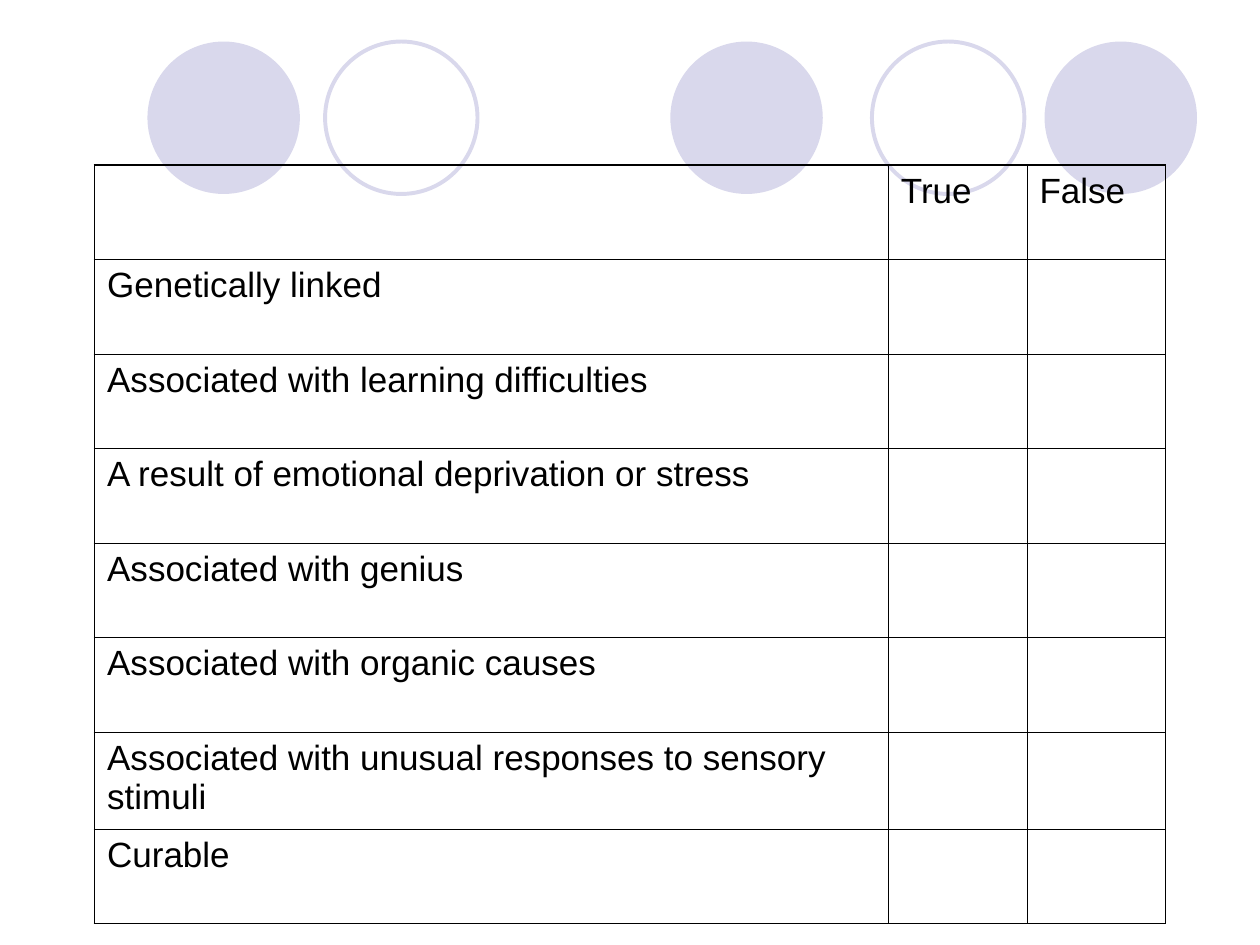
from pptx import Presentation
from pptx.dml.color import RGBColor
from pptx.enum.shapes import MSO_SHAPE as Preset
from pptx.oxml.ns import qn
from pptx.util import Inches, Pt
from lxml.etree import SubElement

COLORS = {"lavender": "D9D8EC", "black": "000000"}
FONT = "Arial"
CIRCLE_SIZE = 1.21
CIRCLE_TOP = 0.33
FILLED_CIRCLES = [5.32, 8.29, 1.17]
OUTLINED_CIRCLES = [6.92, 2.58]
OUTER_EDGE = 1.08
INNER_EDGE = 0.45
COLUMN_WIDTHS = [6.3, 1.1, 1.1]
ROW_HEIGHT = 0.75
TALL_ROW_HEIGHT = 0.77
TALL_ROW = 6
ANSWERS = ["True", "False"]
STATEMENTS = [
    "Genetically linked",
    "Associated with learning difficulties",
    "A result of emotional deprivation or stress",
    "Associated with genius",
    "Associated with organic causes",
    "Associated with unusual responses to sensory stimuli",
    "Curable",
]


def color(name):
    return RGBColor.from_string(COLORS[name])


def add_circle(slide, left, filled):
    circle = slide.shapes.add_shape(
        Preset.OVAL, Inches(left), Inches(CIRCLE_TOP),
        Inches(CIRCLE_SIZE), Inches(CIRCLE_SIZE))
    circle.shadow.inherit = False
    if filled:
        circle.fill.solid()
        circle.fill.fore_color.rgb = color("lavender")
        circle.line.fill.background()
    else:
        circle.fill.background()
        circle.line.color.rgb = color("lavender")
        circle.line.width = Pt(2.25)


def set_borders(cell, outer_sides):
    properties = cell._tc.get_or_add_tcPr()
    for side in "LRTB":
        width = OUTER_EDGE if side in outer_sides else INNER_EDGE
        edge = SubElement(properties, qn(f"a:ln{side}"), w=str(Pt(width)))
        paint = SubElement(edge, qn("a:solidFill"))
        SubElement(paint, qn("a:srgbClr"), val=COLORS["black"])


def fill_cell(cell, text, outer_sides):
    set_borders(cell, outer_sides)
    cell.fill.background()
    cell.text = text
    paragraph = cell.text_frame.paragraphs[0]
    paragraph.font.name = FONT
    paragraph.font.size = Pt(20)
    paragraph.font.color.rgb = color("black")


def add_quiz(slide):
    rows = [["", *ANSWERS]] + [[statement, "", ""] for statement in STATEMENTS]
    heights = [TALL_ROW_HEIGHT if index == TALL_ROW else ROW_HEIGHT
               for index in range(len(rows))]
    quiz = slide.shapes.add_table(
        len(rows), len(COLUMN_WIDTHS), Inches(0.75), Inches(1.31),
        Inches(sum(COLUMN_WIDTHS)), Inches(sum(heights))).table
    quiz.first_row = False
    quiz.horz_banding = False
    for column, width in zip(quiz.columns, COLUMN_WIDTHS):
        column.width = Inches(width)
    for row, height in zip(quiz.rows, heights):
        row.height = Inches(height)

    last_row, last_column = len(rows) - 1, len(COLUMN_WIDTHS) - 1
    for r, texts in enumerate(rows):
        for c, text in enumerate(texts):
            at_edge = {"L": c == 0, "R": c == last_column,
                       "T": r == 0, "B": r == last_row}
            outer_sides = [side for side, outer in at_edge.items() if outer]
            fill_cell(quiz.cell(r, c), text, outer_sides)


def main():
    deck = Presentation()
    deck.slide_width = Inches(10)
    deck.slide_height = Inches(7.5)
    slide = deck.slides.add_slide(deck.slide_layouts[6])
    for left in FILLED_CIRCLES:
        add_circle(slide, left, filled=True)
    for left in OUTLINED_CIRCLES:
        add_circle(slide, left, filled=False)
    add_quiz(slide)
    deck.save("out.pptx")


if __name__ == "__main__":
    main()
